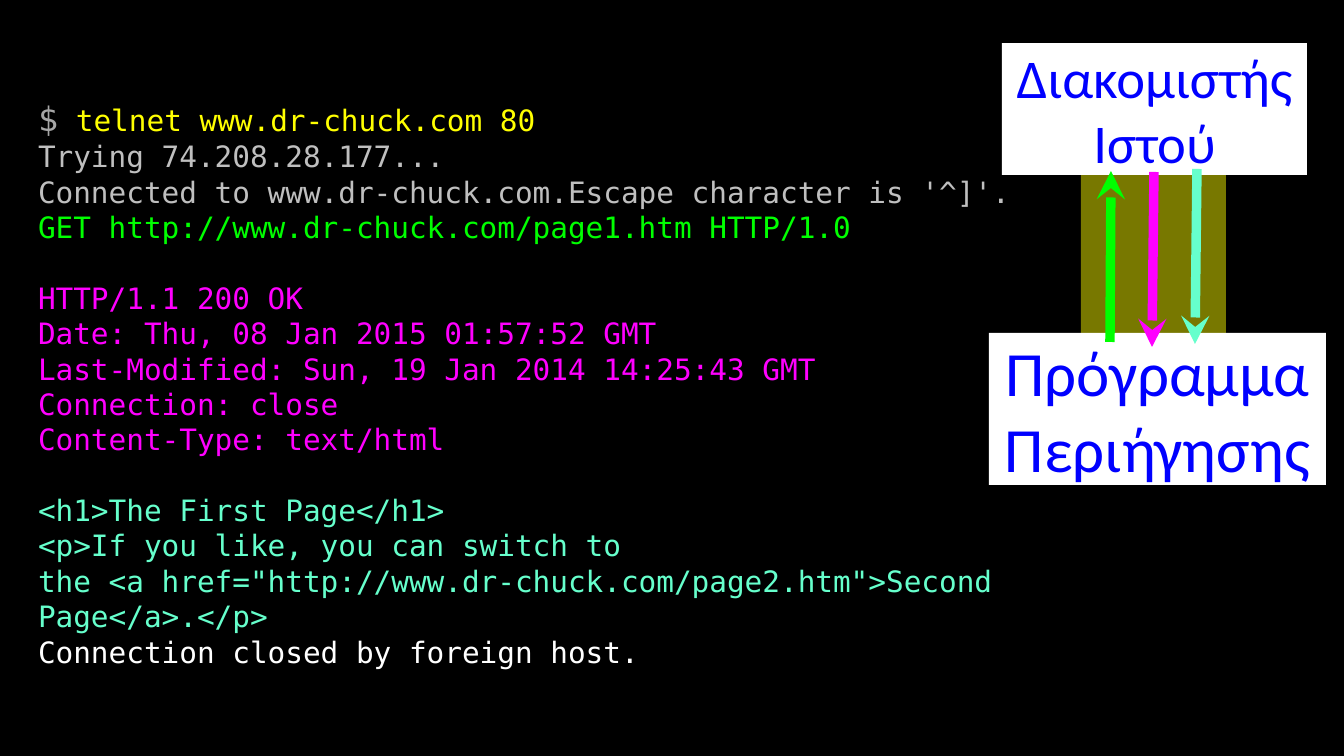
"""Build a slide showing an HTTP exchange over telnet between a browser and a web server."""
from pptx import Presentation
from pptx.dml.color import RGBColor as RGB
from pptx.enum.shapes import MSO_CONNECTOR as CONNECTOR, MSO_SHAPE as SHAPE
from pptx.enum.text import MSO_ANCHOR as ANCHOR, MSO_AUTO_SIZE as AUTO_SIZE, PP_ALIGN as ALIGN
from pptx.oxml.ns import qn
from pptx.util import Emu, Pt
from lxml.etree import SubElement

PX = 12095
COLOURS = {
    "black": "000000", "white": "FFFFFF", "blue": "0000FF", "yellow": "FFFF00",
    "prompt": "A6A6A6", "status": "BFBFBF", "request": "00FF00",
    "headers": "FF00FF", "body": "66FFCC",
}
FRAME = {
    "margin_left": 0, "margin_top": 0, "margin_right": 0, "margin_bottom": 0,
    "vertical_anchor": ANCHOR.MIDDLE, "auto_size": AUTO_SIZE.NONE,
}
LINE_HEIGHT = Pt(33.7)


def px(*lengths):
    return [Emu(length * PX) for length in lengths]


def add_run(paragraph, text, face, size, colour):
    run = paragraph.add_run()
    run.text = text
    for name, value in {"name": face, "size": Pt(size)}.items():
        setattr(run.font, name, value)
    run.font.color.rgb = RGB.from_string(COLOURS[colour])


deck = Presentation()
deck.slide_width, deck.slide_height = px(1344, 756)
slide = deck.slides.add_slide(deck.slide_layouts[6])
slide.background.fill.solid()
slide.background.fill.fore_color.rgb = RGB.from_string(COLOURS["black"])

channel = slide.shapes.add_shape(SHAPE.RECTANGLE, *px(1081, 147, 145, 233))
channel.shadow.inherit = False
channel.line.fill.background()
channel.fill.solid()
channel.fill.fore_color.rgb = RGB.from_string(COLOURS["yellow"])
yellow = channel.fill._xPr.find(qn("a:solidFill"))[0]
SubElement(yellow, qn("a:alpha")).set("val", "47000")

session = [
    ("yellow", ["telnet www.dr-chuck.com 80"]),
    ("status", ["Trying 74.208.28.177...",
                "Connected to www.dr-chuck.com.Escape character is '^]'."]),
    ("request", ["GET http://www.dr-chuck.com/page1.htm HTTP/1.0"]),
    ("headers", ["HTTP/1.1 200 OK",
                 "Date: Thu, 08 Jan 2015 01:57:52 GMT",
                 "Last-Modified: Sun, 19 Jan 2014 14:25:43 GMT",
                 "Connection: close",
                 "Content-Type: text/html"]),
    ("body", ["<h1>The First Page</h1>",
              "<p>If you like, you can switch to",
              'the <a href="http://www.dr-chuck.com/page2.htm">Second Page</a>.</p>']),
    ("white", ["Connection closed by foreign host."]),
]
terminal = slide.shapes.add_textbox(*px(38, 101, 1064, 570)).text_frame
for name, value in {**FRAME, "word_wrap": True}.items():
    setattr(terminal, name, value)
mono = "DejaVu Sans Mono"
paragraph = terminal.paragraphs[0]
add_run(paragraph, "$", mono, 32, "prompt")
add_run(paragraph, " ", mono, 28, "prompt")
for part, lines in session:
    for number, line in enumerate(lines):
        if part != "yellow":
            paragraph = terminal.add_paragraph()
        paragraph.line_spacing = LINE_HEIGHT
        if part in ("headers", "body") and number == 0:
            paragraph.space_before = LINE_HEIGHT
        add_run(paragraph, line, mono, 28, part)

parties = [
    ((989, 333, 337, 152), 60, ["Πρόγραμμα", "Περιήγησης"]),
    ((1002, 43, 305, 132), 52, ["Διακομιστής", "Ιστού"]),
]
for place, size, words in parties:
    party = slide.shapes.add_shape(SHAPE.RECTANGLE, *px(*place))
    party.shadow.inherit = False
    party.line.fill.background()
    party.fill.solid()
    party.fill.fore_color.rgb = RGB.from_string(COLOURS["white"])
    label = party.text_frame
    for name, value in {**FRAME, "word_wrap": False}.items():
        setattr(label, name, value)
    for number, word in enumerate(words):
        paragraph = label.add_paragraph() if number else label.paragraphs[0]
        paragraph.alignment = ALIGN.CENTER
        add_run(paragraph, word, "Calibri", size, "blue")

messages = [
    ("request", (1111, 171, 1110, 342)),
    ("headers", (1152, 347, 1154, 172)),
    ("body", (1195, 344, 1197, 169)),
]
for part, ends in messages:
    arrow = slide.shapes.add_connector(CONNECTOR.STRAIGHT, *px(*ends))
    arrow.line.width = Pt(9)
    arrow.line.color.rgb = RGB.from_string(COLOURS[part])
    SubElement(arrow.line._get_or_add_ln(), qn("a:headEnd")).set("type", "stealth")
    SubElement(arrow._element.spPr, qn("a:effectLst"))

deck.save("out.pptx")
